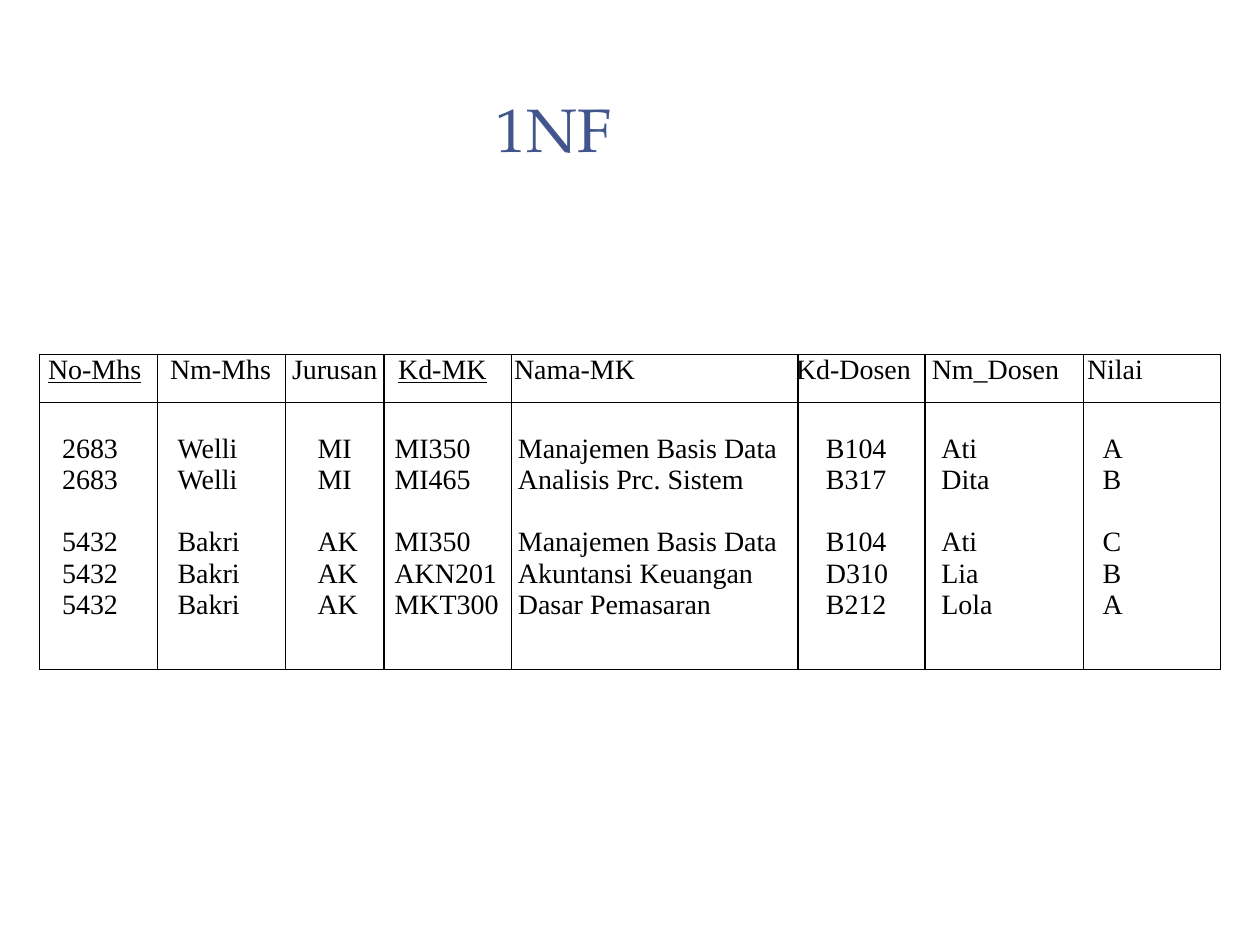
from lxml import etree
from pptx import Presentation
from pptx import util as u
from pptx.dml.color import RGBColor
from pptx.enum import shapes, text
from pptx.oxml import ns

BLACK = RGBColor(0x00, 0x00, 0x00)
WHITE = RGBColor(0xFF, 0xFF, 0xFF)
BLUE = RGBColor(0x42, 0x56, 0x8D)

LEFT, TOP, WIDTH = 22.5, 202.5, 675
ROW_HEIGHTS = (27.4, 152.6)
LINE_HEIGHT = 17.8
DIVIDERS = (90, 163, 219.5, 292.5, 456, 528.5, 619)
HEADER_TABS = (69.7, 139.4, 200, 266.3, 427.4, 505, 593.7)
BODY_TABS = (8, 74, 154, 198, 268.5, 444.5, 510.5, 602.5)

HEADERS = ("No-Mhs", "Nm-Mhs", "Jurusan", "Kd-MK", "Nama-MK",
           "Kd-Dosen", "Nm_Dosen", "Nilai")
KEYS = ("No-Mhs", "Kd-MK")
STUDENTS = (
    (("2683", "Welli", "MI"), (
        ("MI350", "Manajemen Basis Data", "B104", "Ati", "A"),
        ("MI465", "Analisis Prc. Sistem", "B317", "Dita", "B"),
    )),
    (("5432", "Bakri", "AK"), (
        ("MI350", "Manajemen Basis Data", "B104", "Ati", "C"),
        ("AKN201", "Akuntansi Keuangan", "D310", "Lia", "B"),
        ("MKT300", "Dasar Pemasaran", "B212", "Lola", "A"),
    )),
)


class SlideBuilder:
    """Holds the fonts and the slide being built."""
    title_font, title_size = "TeX Gyre Pagella", 35
    body_font, body_size = "Times New Roman", 16

    def __init__(self, slide):
        self.slide = slide

    def title(self, words, left, top, width, height):
        box = self.slide.shapes.title
        box.left, box.top = u.Pt(left), u.Pt(top)
        box.width, box.height = u.Pt(width), u.Pt(height)
        box.text_frame.text = words
        box.text_frame.vertical_anchor = text.MSO_ANCHOR.MIDDLE
        para = box.text_frame.paragraphs[0]
        para.alignment = text.PP_ALIGN.CENTER
        self.style(para.font, self.title_font, self.title_size, BLUE)

    def style(self, font, name, size, color):
        font.name, font.size = name, u.Pt(size)
        font.color.rgb = color

    def table(self, left, top, width, row_heights):
        """Add a one-column table and return its cells."""
        frame = self.slide.shapes.add_table(
            len(row_heights), 1, u.Pt(left), u.Pt(top),
            u.Pt(width), u.Pt(sum(row_heights)))
        table = frame.table
        for row, height in zip(table.rows, row_heights):
            row.height = u.Pt(height)
        cells = [row.cells[0] for row in table.rows]
        for cell in cells:
            cell.margin_left = cell.margin_right = u.Pt(5)
            cell.margin_top = cell.margin_bottom = u.Pt(0)
            cell.fill.solid()
            cell.fill.fore_color.rgb = WHITE
            self.borders(cell)
        return cells

    def borders(self, cell):
        properties = cell._tc.get_or_add_tcPr()
        for index, side in enumerate(("lnL", "lnR", "lnT", "lnB")):
            line = etree.Element(ns.qn(f"a:{side}"), w=str(u.Pt(1)))
            fill = etree.SubElement(line, ns.qn("a:solidFill"))
            etree.SubElement(fill, ns.qn("a:srgbClr"), val=str(BLACK))
            properties.insert(index, line)

    def tabbed_line(self, para, values, stops, underlined=(), before=0):
        """Write values separated by tabs at the given stops."""
        para.line_spacing = u.Pt(LINE_HEIGHT)
        para.space_before = u.Pt(before)
        self.style(para.font, self.body_font, self.body_size, BLACK)
        para.font.bold = False
        tabs = etree.Element(ns.qn("a:tabLst"))
        for stop in stops:
            etree.SubElement(tabs, ns.qn("a:tab"), pos=str(u.Pt(stop)), algn="l")
        properties = para._p.get_or_add_pPr()
        properties.find(ns.qn("a:defRPr")).addprevious(tabs)
        leading_tab = len(stops) == len(values)
        for index, value in enumerate(values):
            if index or leading_tab:
                para.add_run().text = "\t"
            span = para.add_run()
            span.text = value
            if value in underlined:
                span.font.underline = True

    def divider(self, x, top, bottom):
        line = self.slide.shapes.add_connector(
            shapes.MSO_CONNECTOR.STRAIGHT,
            u.Pt(x), u.Pt(top), u.Pt(x), u.Pt(bottom))
        line.line.color.rgb = BLACK
        line.line.width = u.Pt(0.75)
        etree.SubElement(line._element.spPr, ns.qn("a:effectLst"))


def main():
    deck = Presentation()
    deck.slide_width, deck.slide_height = u.Pt(720), u.Pt(540)
    page = SlideBuilder(deck.slides.add_slide(deck.slide_layouts[5]))
    page.title("1NF", 34, 32.5, 564.5, 81.5)

    header, body = page.table(LEFT, TOP, WIDTH, ROW_HEIGHTS)
    page.tabbed_line(header.text_frame.paragraphs[0], HEADERS, HEADER_TABS, KEYS)

    body.margin_top = u.Pt(LINE_HEIGHT)
    para = body.text_frame.paragraphs[0]
    for group, (student, courses) in enumerate(STUDENTS):
        for number, course in enumerate(courses):
            if group or number:
                para = body.text_frame.add_paragraph()
            gap = LINE_HEIGHT if group and not number else 0
            page.tabbed_line(para, student + course, BODY_TABS, before=gap)

    for x in DIVIDERS:
        page.divider(x, TOP, TOP + sum(ROW_HEIGHTS))
    deck.save("out.pptx")


if __name__ == "__main__":
    main()
